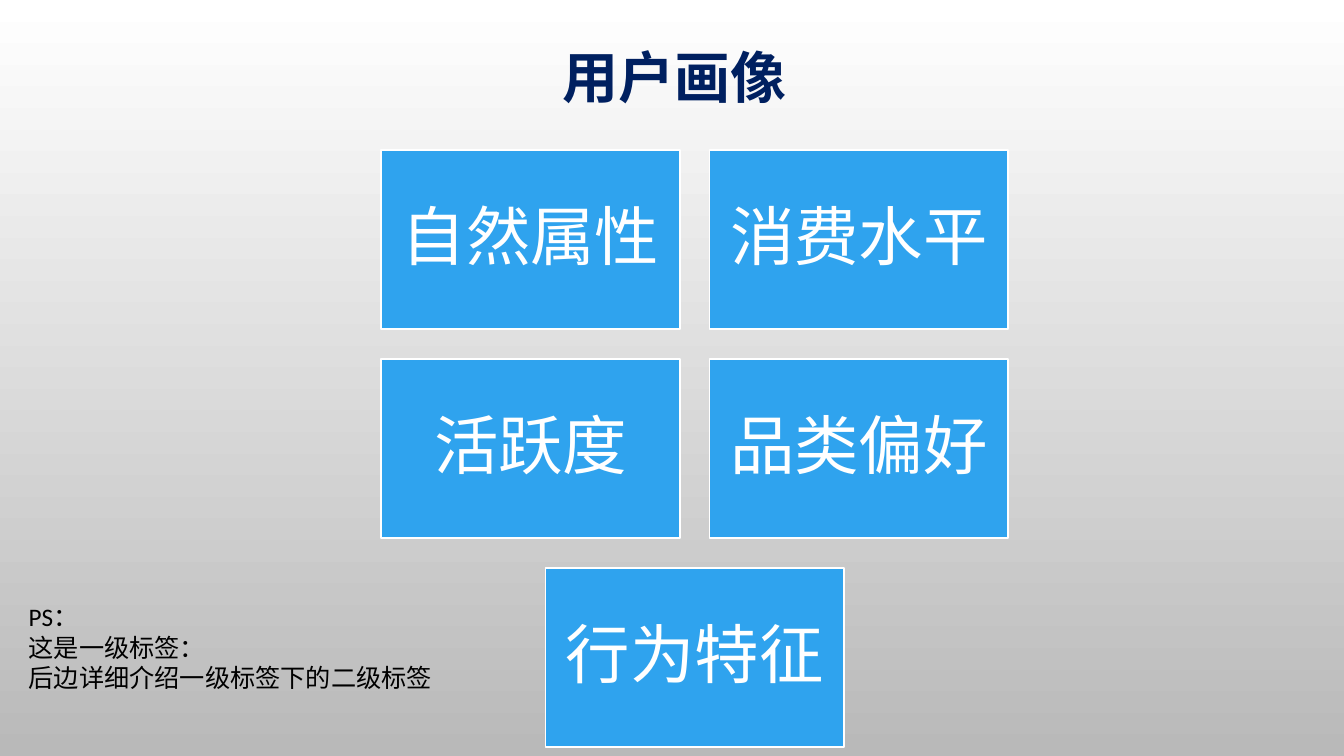
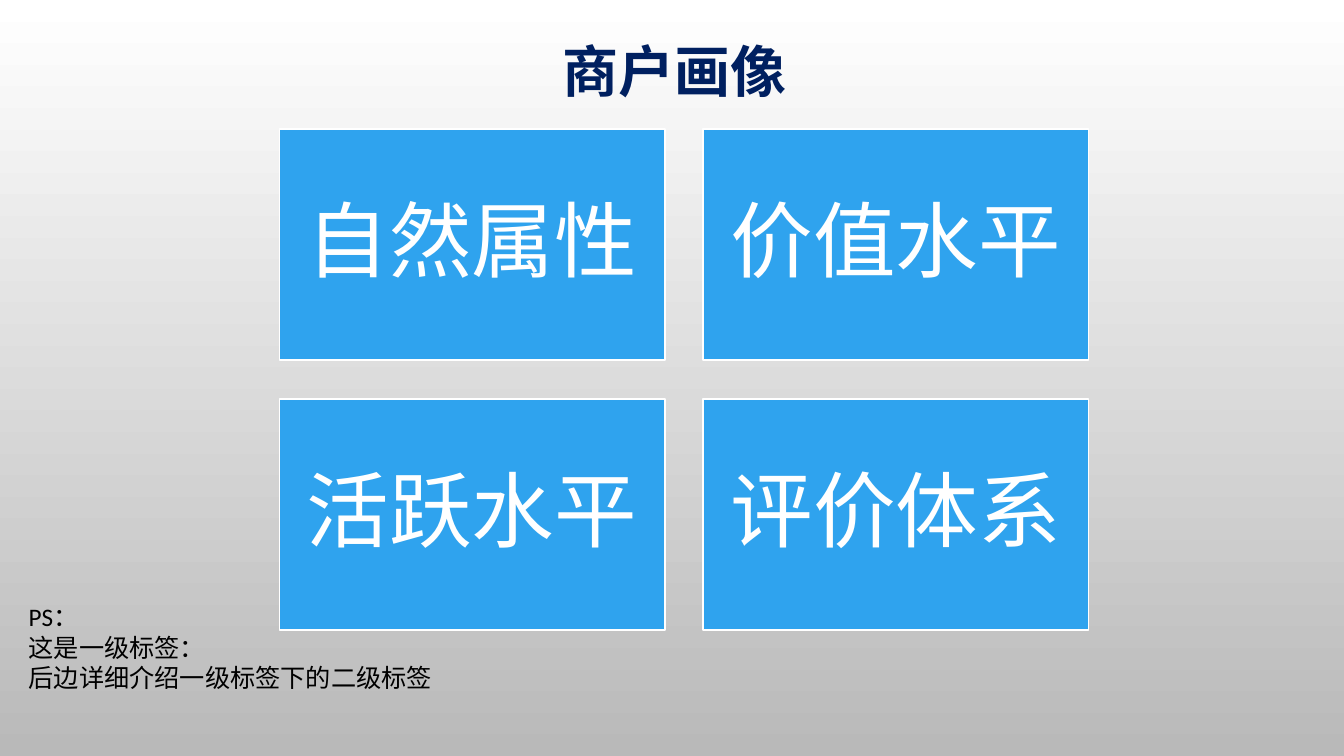
from pptx import Presentation
from pptx.dml.color import RGBColor
from pptx.enum.text import MSO_ANCHOR, MSO_AUTO_SIZE, PP_ALIGN
from pptx.util import Pt

FONT = "Calibri"
NAVY, BLUE, WHITE, BLACK, GREY = "002060", "2FA3EE", "FFFFFF", "000000", "B9B9B9"
SLIDE_WIDTH, SLIDE_HEIGHT = 960, 540
COLUMNS = 2
NOTE = ["PS：", "这是一级标签：", "后边详细介绍一级标签下的二级标签"]
PORTRAITS = [
    {
        "title": "用户画像", "title_top": 26.6,
        "labels": ["自然属性", "消费水平", "活跃度", "品类偏好", "行为特征"],
        "center": 496.2, "top": 107.2, "tile_width": 213.2, "size": 46,
    },
    {
        "title": "商户画像", "title_top": 22.3,
        "labels": ["自然属性", "价值水平", "活跃水平", "评价体系"],
        "center": 488.6, "top": 92.2, "tile_width": 275.2, "size": 59,
    },
]


def color(value):
    return RGBColor.from_string(value)


def paint_background(master):
    fill = master.background.fill
    fill.gradient()
    fill.gradient_angle = 270
    for stop, value, position in zip(fill.gradient_stops, (WHITE, GREY), (0, 1)):
        stop.color.rgb = color(value)
        stop.position = position


def write(frame, lines, size, ink, align=PP_ALIGN.LEFT, bold=False, spacing=1.0):
    frame.word_wrap = True
    for index, line in enumerate(lines):
        para = frame.add_paragraph() if index else frame.paragraphs[0]
        para.alignment = align
        para.line_spacing = spacing
        span = para.add_run()
        span.text = line
        span.font.name = FONT
        span.font.size = Pt(size)
        span.font.bold = bold
        span.font.color.rgb = color(ink)


def add_text(page, left, top, width, height, lines, size, ink, **style):
    box = page.shapes.add_textbox(Pt(left), Pt(top), Pt(width), Pt(height))
    box.text_frame.auto_size = MSO_AUTO_SIZE.SHAPE_TO_FIT_TEXT
    write(box.text_frame, lines, size, ink, **style)


def add_tile(page, left, top, width, height, label, size):
    tile = page.shapes.add_shape(1, Pt(left), Pt(top), Pt(width), Pt(height))
    tile.shadow.inherit = False
    tile.fill.solid()
    tile.fill.fore_color.rgb = color(BLUE)
    tile.line.color.rgb = color(WHITE)
    tile.line.width = Pt(1.25)
    frame = tile.text_frame
    frame.vertical_anchor = MSO_ANCHOR.MIDDLE
    inset = Pt(size * 0.3)
    frame.margin_left = frame.margin_right = inset
    frame.margin_top = frame.margin_bottom = inset
    write(frame, [label], size, WHITE, align=PP_ALIGN.CENTER, spacing=0.9)


def add_tiles(page, labels, center, top, width, size):
    height, gap = width * 0.6, width * 0.1
    for start in range(0, len(labels), COLUMNS):
        row = labels[start:start + COLUMNS]
        left = center - (len(row) * (width + gap) - gap) / 2
        row_top = top + start // COLUMNS * (height + gap)
        for column, label in enumerate(row):
            add_tile(page, left + column * (width + gap), row_top,
                     width, height, label, size)


def main():
    deck = Presentation()
    deck.slide_width, deck.slide_height = Pt(SLIDE_WIDTH), Pt(SLIDE_HEIGHT)
    paint_background(deck.slide_master)
    for portrait in PORTRAITS:
        page = deck.slides.add_slide(deck.slide_layouts[6])
        add_text(page, 188.6, portrait["title_top"], 586.8, 55.4,
                 [portrait["title"]], 40, NAVY, align=PP_ALIGN.CENTER, bold=True)
        add_tiles(page, portrait["labels"], portrait["center"], portrait["top"],
                  portrait["tile_width"], portrait["size"])
        add_text(page, 13.4, 426.2, 350, 72.7, NOTE, 18, BLACK)
    deck.save("out.pptx")


if __name__ == "__main__":
    main()
